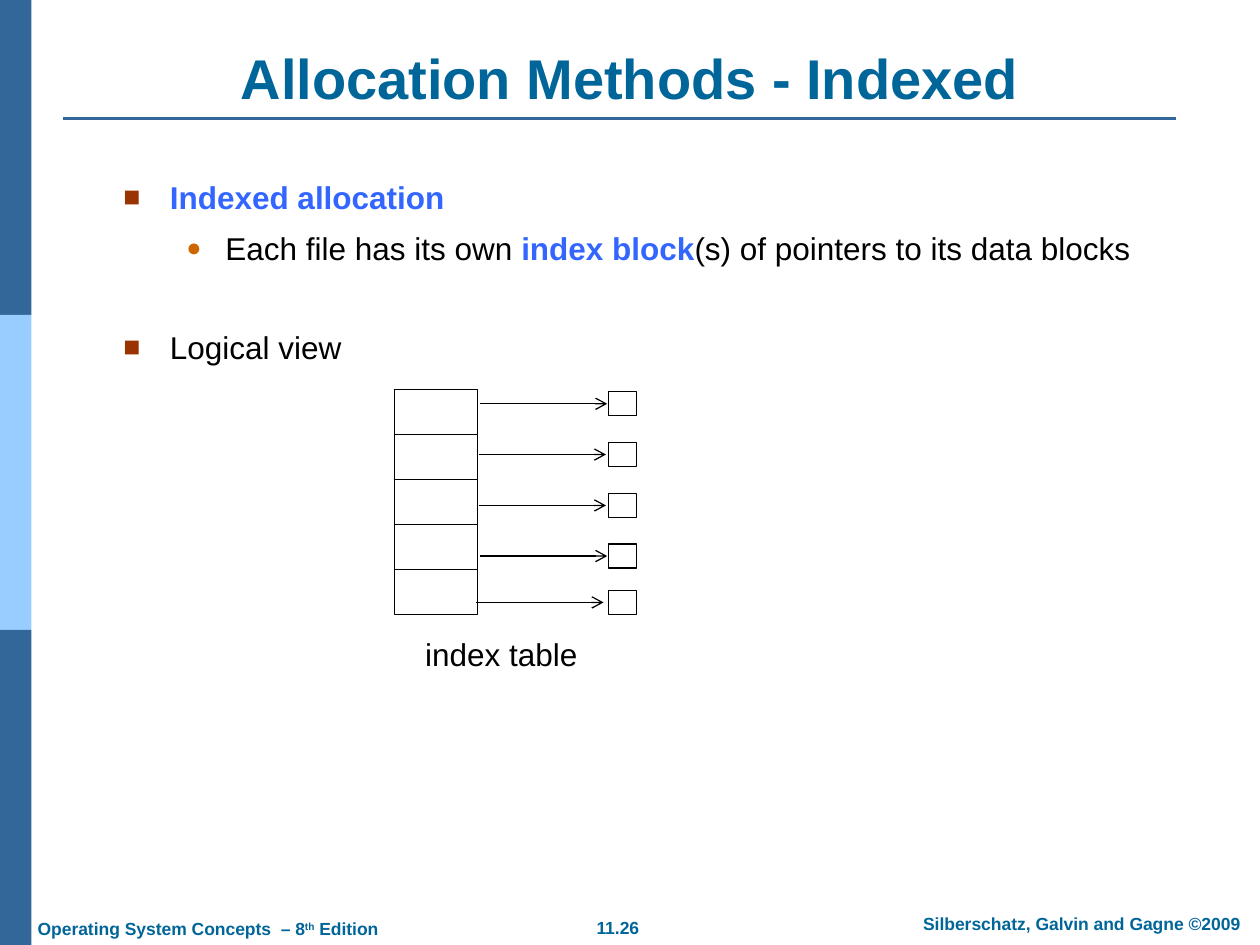
from pptx import Presentation
from pptx.dml.color import RGBColor
from pptx.enum import shapes, text
from pptx.oxml import xmlchemy
from pptx.util import Pt

FONT = "Arial"
NAVY = RGBColor(0x33, 0x66, 0x99)
SKY = RGBColor(0x99, 0xCC, 0xFF)
TEAL = RGBColor(0x00, 0x66, 0x99)
BLUE = RGBColor(0x33, 0x66, 0xFF)
RUST = RGBColor(0x99, 0x33, 0x00)
ORANGE = RGBColor(0xCC, 0x66, 0x00)
BLACK = RGBColor(0, 0, 0)
WHITE = RGBColor(0xFF, 0xFF, 0xFF)

# Bullet styles by level: symbol, colour, size in percent, margin, hanging indent
BULLETS = (("■", RUST, 90, 26.6, 26.6), ("●", ORANGE, 80, 58.3, 22.3))
BODY_SPACE = 7.25

# Data blocks: top of the block, left end of its arrow
BLOCKS = ((223.9, 274.3), (252.9, 273.6), (282, 273.6), (310.9, 274.3), (337.4, 272.2))
BLOCK_LEFT, BLOCK_WIDTH, BLOCK_HEIGHT = 347.8, 15.8, 13.7
ARROW_LENGTH = 72.7
TABLE_LEFT, TABLE_TOP, CELL_WIDTH, CELL_HEIGHT = 225.4, 222.5, 47.5, 25.7


def add_element(parent, tag, **attributes):
    element = xmlchemy.OxmlElement(tag)
    for name, value in attributes.items():
        element.set(name, str(value))
    parent.append(element)
    return element


def add_rect(page, left, top, width, height, fill, outline=None):
    box = page.shapes.add_shape(
        shapes.MSO_SHAPE.RECTANGLE, Pt(left), Pt(top), Pt(width), Pt(height))
    box.shadow.inherit = False
    box.fill.solid()
    box.fill.fore_color.rgb = fill
    if outline is None:
        box.line.fill.background()
    else:
        box.line.color.rgb = outline
        box.line.width = Pt(0.75)
    return box


def add_line(page, left, right, y, color, width, arrow=False):
    line = page.shapes.add_connector(
        shapes.MSO_CONNECTOR.STRAIGHT, Pt(left), Pt(y), Pt(right), Pt(y))
    line.line.color.rgb = color
    line.line.width = Pt(width)
    if arrow:
        add_element(line.line._get_or_add_ln(), "a:tailEnd", type="arrow")
    add_element(line._element.spPr, "a:effectLst")
    return line


def add_box(page, left, top, width, height, wrap=True, anchor=text.MSO_ANCHOR.TOP):
    box = page.shapes.add_textbox(Pt(left), Pt(top), Pt(width), Pt(height))
    frame = box.text_frame
    frame.word_wrap = wrap
    frame.vertical_anchor = anchor
    return frame


def add_span(para, words, size, color, bold=False):
    span = para.add_run()
    span.text = words
    span.font.name = FONT
    span.font.size = Pt(size)
    span.font.bold = bold
    span.font.color.rgb = color
    return span


def add_label(page, place, words, size, color, bold=True, **options):
    para = add_box(page, *place, **options).paragraphs[0]
    para.alignment = text.PP_ALIGN.CENTER
    add_span(para, words, size, color, bold)


def add_bullet(para, level, spans, space_before=0):
    symbol, color, percent, margin, hanging = BULLETS[level]
    para.level = level
    para.space_before = Pt(space_before)
    properties = para._p.get_or_add_pPr()
    properties.set("marL", str(Pt(margin)))
    properties.set("indent", str(-Pt(hanging)))
    add_element(add_element(properties, "a:buClr"), "a:srgbClr", val=color)
    add_element(properties, "a:buSzPct", val=percent * 1000)
    add_element(properties, "a:buFont", typeface=FONT)
    add_element(properties, "a:buChar", char=symbol)
    for words, highlighted in spans:
        add_span(para, words, 18, BLUE if highlighted else BLACK, highlighted)


def add_frame(page):
    # Side band and title rule
    for row, color in enumerate((NAVY, SKY, NAVY)):
        add_rect(page, 0, 180 * row, 18, 180, color)
    add_line(page, 36, 672, 67.7, NAVY, 1.5)

    # Footer
    add_label(page, (332.6, 520.6, 41, 19.4), "11.26", 10, TEAL, wrap=False)
    add_label(page, (511.2, 518.4, 213.8, 19.4),
              "Silberschatz, Galvin and Gagne ©2009", 10, TEAL)
    para = add_box(page, 14.4, 521.3, 223, 19.4).paragraphs[0]
    add_span(para, "Operating System Concepts  – 8", 10, TEAL, True)
    ordinal = add_span(para, "th", 10, TEAL, True)
    ordinal.font._element.set("baseline", "30000")
    add_span(para, " Edition", 10, TEAL, True)


def add_body(page):
    frame = add_box(page, 63.4, 98.2, 648, 356.4)
    add_bullet(frame.paragraphs[0], 0, [("Indexed allocation", True)])
    add_bullet(frame.add_paragraph(), 1, [
        ("Each file has its own ", False),
        ("index block", True),
        ("(s) of pointers to its data blocks", False)], BODY_SPACE)
    add_bullet(frame.add_paragraph(), 0, [("Logical view", False)], 28 + BODY_SPACE)


def add_diagram(page):
    # Index table
    for row in range(len(BLOCKS)):
        add_rect(page, TABLE_LEFT, TABLE_TOP + row * CELL_HEIGHT,
                 CELL_WIDTH, CELL_HEIGHT, WHITE, BLACK)

    # Data blocks and the pointers to them
    for top, start in BLOCKS:
        add_rect(page, BLOCK_LEFT, top, BLOCK_WIDTH, BLOCK_HEIGHT, WHITE, BLACK)
        add_line(page, start, start + ARROW_LENGTH, top + BLOCK_HEIGHT / 2,
                 BLACK, 0.75, arrow=True)

    add_label(page, (235.4, 359.3, 102.2, 28.8), "index table", 18, BLACK,
              bold=False, wrap=False, anchor=text.MSO_ANCHOR.MIDDLE)


def main():
    deck = Presentation()
    deck.slide_width, deck.slide_height = Pt(720), Pt(540)
    page = deck.slides.add_slide(deck.slide_layouts[6])
    add_frame(page)
    add_label(page, (36, 21.6, 648, 45.4), "Allocation Methods - Indexed", 32, TEAL,
              anchor=text.MSO_ANCHOR.BOTTOM)
    add_body(page)
    add_diagram(page)
    deck.save("out.pptx")


if __name__ == "__main__":
    main()
